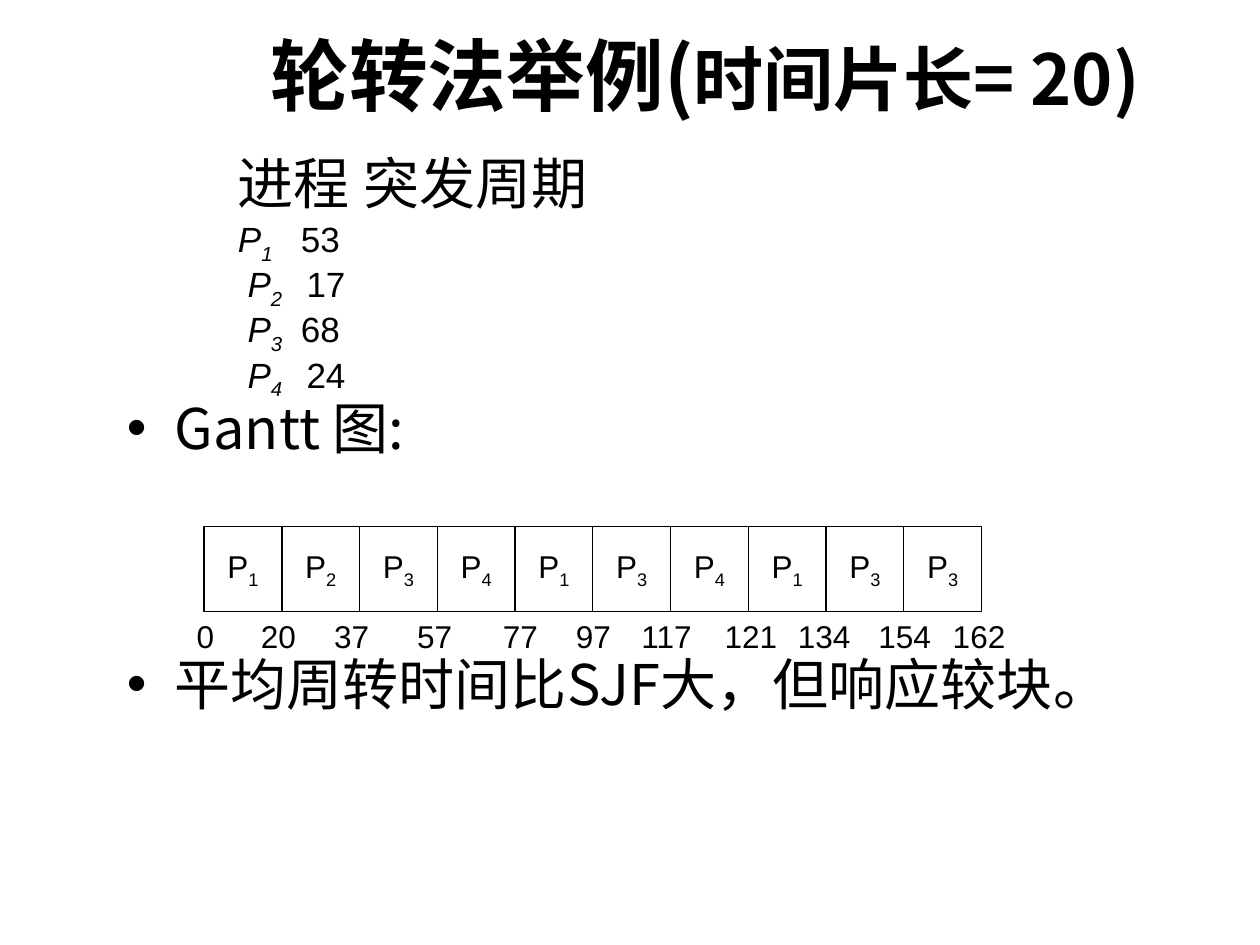
from lxml.etree import SubElement
from pptx import Presentation
from pptx.dml.color import RGBColor
from pptx.enum.shapes import MSO_SHAPE
from pptx.enum.text import MSO_ANCHOR, MSO_AUTO_SIZE, PP_ALIGN
from pptx.oxml.ns import qn
from pptx.util import Inches, Pt

TITLE = [("轮转法举例(", "title"), ("时间片长= 20)", "subtitle")]
HEADER = [("\t\t", "data"), ("进程", "text"), ("\t", "data"), ("突发周期", "text")]
BURSTS = [("", "1", "\t", "53"), (" ", "2", "\t ", "17"),
          (" ", "3", "\t", "68"), (" ", "4", "\t ", "24")]
BULLETS = [("Gantt 图: ", None), ("平均周转时间比SJF大，但响应较块。", 115.5)]
GANTT = "1234134133"
TIMES = [(0, 0.163), (20, 0.221), (37, 0.279), (57, 0.345), (77, 0.413),
         (97, 0.471), (117, 0.529), (121, 0.596), (134, 0.654),
         (154, 0.718), (162, 0.777)]

CJK, LATIN = "Noto Sans CJK JP", "Arial"
THEME = {
    "ink": RGBColor(0, 0, 0),
    "paper": RGBColor(255, 255, 255),
    "line": Pt(0.75),
    "title": {"name": CJK, "size": Pt(45), "bold": True},
    "subtitle": {"name": CJK, "size": Pt(40), "bold": True},
    "text": {"name": CJK, "size": Pt(32)},
    "data": {"name": LATIN, "size": Pt(20)},
    "process": {"name": LATIN, "size": Pt(20), "italic": True},
    "label": {"name": LATIN, "size": Pt(18)},
}
W, H = Inches(10), Inches(7.5)
TABS = (2.43, 4.37)
INDENT = Inches(0.38)
CELL = {"x": 0.162, "y": 0.557, "w": 0.0617, "h": 0.09}


def area(x, y, w, h):
    return int(x * W), int(y * H), int(w * W), int(h * H)


def add_runs(p, runs):
    for text, style, *sub in runs:
        r = p.add_run()
        r.text = text
        for key, value in THEME[style].items():
            setattr(r.font, key, value)
        r.font.color.rgb = THEME["ink"]
        rPr = r._r.get_or_add_rPr()
        SubElement(rPr, qn("a:ea"), typeface=THEME[style]["name"])
        if sub:
            rPr.set("baseline", "-25000")


def format_frame(sp, **formats):
    for key, value in formats.items():
        setattr(sp.text_frame, key, value)
    return sp.text_frame


def add_centred(sp, runs, wrap=False, **formats):
    tf = format_frame(sp, word_wrap=wrap, vertical_anchor=MSO_ANCHOR.MIDDLE, **formats)
    p = tf.paragraphs[0]
    p.alignment = PP_ALIGN.CENTER
    add_runs(p, runs)


def format_row(p, first, bullet, gap):
    pPr = p._p.get_or_add_pPr()
    pPr.set("marL", str(INDENT))
    pPr.set("indent", str(-INDENT))
    p.line_spacing = 0.8
    if gap:
        p.space_before = Pt(gap)
    elif not first:
        SubElement(SubElement(pPr, qn("a:spcBef")), qn("a:spcPct"), val="20000")
    if bullet:
        SubElement(pPr, qn("a:buFont"), typeface=LATIN)
        SubElement(pPr, qn("a:buChar"), char="•")
    else:
        SubElement(pPr, qn("a:buNone"))
    tabs = SubElement(pPr, qn("a:tabLst"))
    for pos in TABS:
        SubElement(tabs, qn("a:tab"), pos=str(Inches(pos)), algn="ctr")


def add_body(s):
    rows = [(HEADER, False, None)]
    for lead, number, tab, burst in BURSTS:
        rows.append(([("\t\t" + lead + "P", "process"),
                      (number + tab, "process", True), (burst, "data")], False, None))
    rows += [([(text, "text")], True, gap) for text, gap in BULLETS]
    sp = s.shapes.add_textbox(*area(0.091, 0.164, 0.804, 0.693))
    tf = format_frame(sp, word_wrap=True)
    for i, (runs, bullet, gap) in enumerate(rows):
        p = tf.add_paragraph() if i else tf.paragraphs[0]
        format_row(p, i == 0, bullet, gap)
        add_runs(p, runs)


def add_gantt(s):
    shapes = s.shapes.add_group_shape().shapes
    for i, number in enumerate(GANTT):
        sp = shapes.add_shape(MSO_SHAPE.RECTANGLE, *area(
            CELL["x"] + i * CELL["w"], CELL["y"], CELL["w"], CELL["h"]))
        sp.shadow.inherit = False
        sp.fill.solid()
        sp.fill.fore_color.rgb = THEME["paper"]
        sp.line.color.rgb = THEME["ink"]
        sp.line.width = THEME["line"]
        add_centred(sp, [("P", "label"), (number, "label", True)])
    for time, centre in TIMES:
        w = 0.02 + 0.014 * len(str(time))
        sp = shapes.add_textbox(*area(centre - w / 2, CELL["y"] + CELL["h"], w, 0.053))
        add_centred(sp, [(str(time), "label")], auto_size=MSO_AUTO_SIZE.SHAPE_TO_FIT_TEXT)


def main():
    prs = Presentation()
    prs.slide_width, prs.slide_height = W, H
    s = prs.slides.add_slide(prs.slide_layouts[6])
    add_centred(s.shapes.add_textbox(*area(0.119, 0.017, 0.881, 0.123)), TITLE, wrap=True)
    add_body(s)
    add_gantt(s)
    prs.save("out.pptx")


if __name__ == "__main__":
    main()
